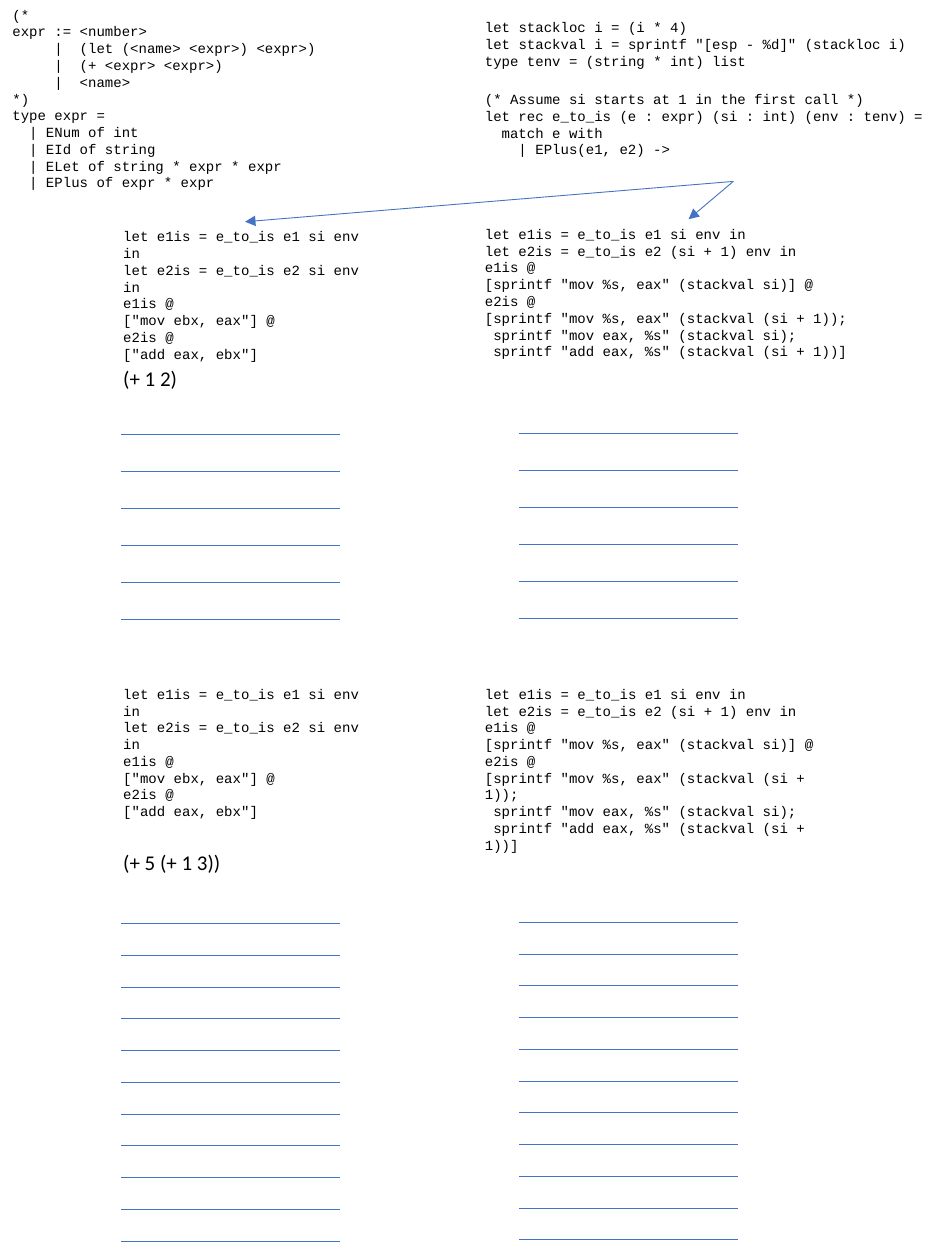
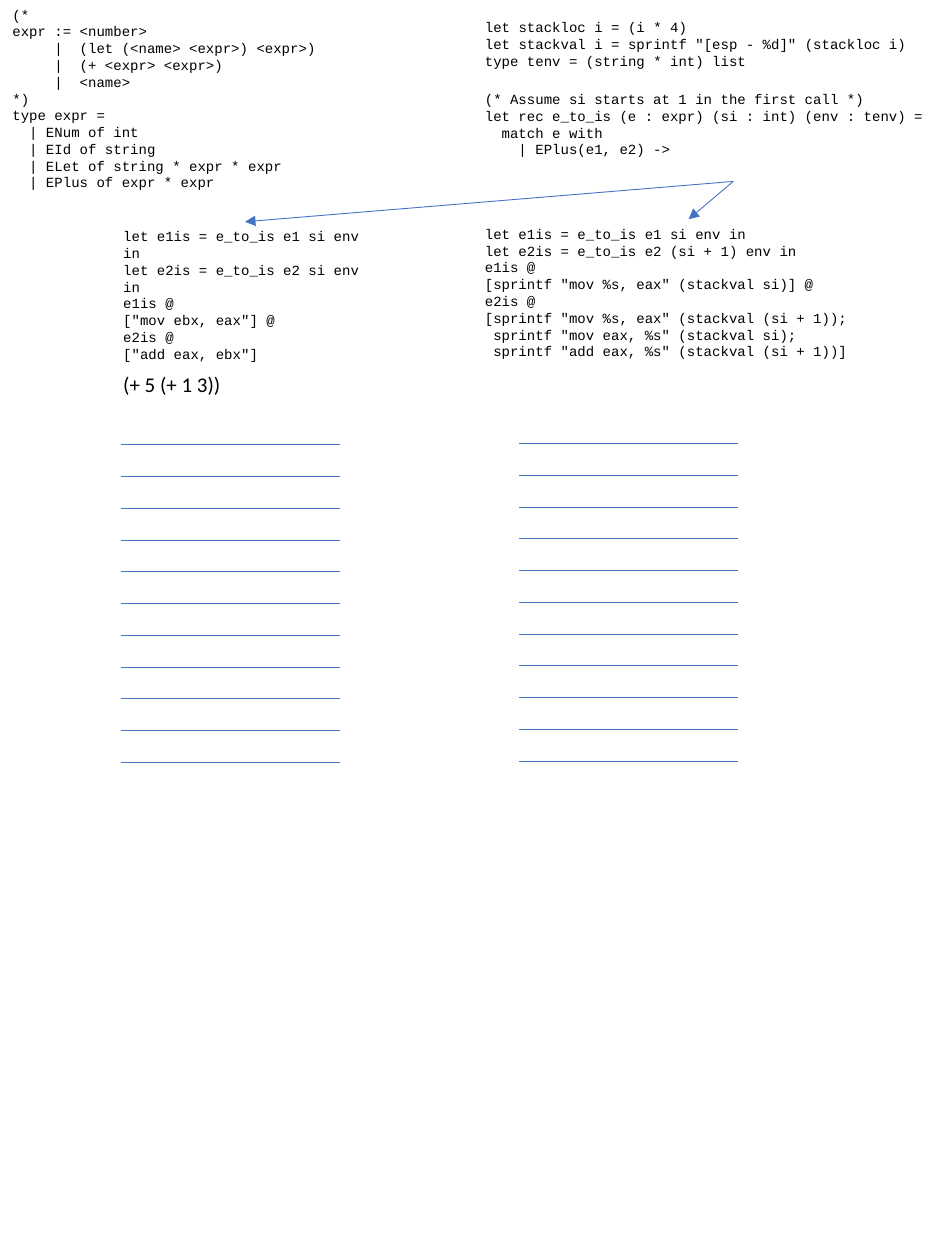
import pptx
import pptx.dml.color
import pptx.enum.shapes
import pptx.enum.text
import pptx.oxml.ns
import pptx.util
from lxml import etree
from pptx.util import Inches

COLORS = {"text": "000000", "rule": "4472C4"}
CODE_FONT, PROMPT_FONT = "Courier New", "Calibri"
LEFT_COLUMN, RIGHT_COLUMN = 0.88, 3.75

GRAMMAR = """(*
expr := <number>
     |  (let (<name> <expr>) <expr>)
     |  (+ <expr> <expr>)
     |  <name>
*)
type expr =
  | ENum of int
  | EId of string
  | ELet of string * expr * expr
  | EPlus of expr * expr"""

HELPERS = """let stackloc i = (i * 4)
let stackval i = sprintf "[esp - %d]" (stackloc i)
type tenv = (string * int) list"""

COMPILER = """(* Assume si starts at 1 in the first call *)
let rec e_to_is (e : expr) (si : int) (env : tenv) =
  match e with
    | EPlus(e1, e2) ->"""

REGISTER_PLUS = """let e1is = e_to_is e1 si env in
let e2is = e_to_is e2 si env in
e1is @
["mov ebx, eax"] @
e2is @
["add eax, ebx"]"""

STACK_PLUS = """let e1is = e_to_is e1 si env in
let e2is = e_to_is e2 (si + 1) env in
e1is @
[sprintf "mov %s, eax" (stackval si)] @
e2is @
[sprintf "mov %s, eax" (stackval (si + 1));
 sprintf "mov eax, %s" (stackval si);
 sprintf "add eax, %s" (stackval (si + 1))]"""


def add_text(slide, box, text, font=CODE_FONT, size=8):
    block = slide.shapes.add_textbox(*map(Inches, box))
    frame = block.text_frame
    frame.word_wrap = True
    frame.auto_size = pptx.enum.text.MSO_AUTO_SIZE.SHAPE_TO_FIT_TEXT
    frame.text = text
    for paragraph in frame.paragraphs:
        paragraph.font.name = font
        paragraph.font.size = pptx.util.Pt(size)
        paragraph.font.color.rgb = pptx.dml.color.RGBColor.from_string(COLORS["text"])
    return block


def add_rule(slide, start=(0, 0), end=(0, 0)):
    rule = slide.shapes.add_connector(
        pptx.enum.shapes.MSO_CONNECTOR.STRAIGHT, *map(Inches, (*start, *end)))
    rule.line.color.rgb = pptx.dml.color.RGBColor.from_string(COLORS["rule"])
    rule.line.width = pptx.util.Pt(0.5)
    etree.SubElement(rule._element.spPr, pptx.oxml.ns.qn("a:effectLst"))
    return rule


def add_arrow(slide, source, target):
    arrow = add_rule(slide)
    arrow.begin_connect(source, 2)
    arrow.end_connect(target, 0)
    etree.SubElement(arrow.line._get_or_add_ln(),
                     pptx.oxml.ns.qn("a:tailEnd"), type="triangle")


def add_definitions(slide, top):
    add_text(slide, (0, top, 3.16, 1.72), GRAMMAR)
    add_text(slide, (RIGHT_COLUMN, top + 0.1, 3.75, 0.5), HELPERS)
    return add_text(slide, (RIGHT_COLUMN, top + 0.67, 4.14, 0.77), COMPILER)


def add_plus_cases(slide, top, stack_width, stack_rise=0):
    register_case = add_text(slide, (LEFT_COLUMN, top, 2.13, 0.91), REGISTER_PLUS)
    stack_case = add_text(
        slide, (RIGHT_COLUMN, top - stack_rise, stack_width, 1.18), STACK_PLUS)
    return register_case, stack_case


def add_exercise(slide, top, expression, first_rule, last_rule, count):
    add_text(slide, (LEFT_COLUMN, top, 1.57, 0.3), expression, PROMPT_FONT, 12)
    gap = (last_rule - first_rule) / (count - 1)
    for left, rise in ((0.96, 0), (4.12, 0.01)):
        for row in range(count):
            y = top + first_rule + row * gap - rise
            add_rule(slide, (left, y), (left + 1.74, y))


def add_worksheet(deck):
    slide = deck.slides.add_slide(deck.slide_layouts[6])
    compiler = add_definitions(slide, 0)
    for case in add_plus_cases(slide, 1.76, 3.43, 0.02):
        add_arrow(slide, compiler, case)
    return slide


def main():
    deck = pptx.Presentation()
    deck.slide_width, deck.slide_height = Inches(7.5), Inches(10)

    both_exercises = add_worksheet(deck)
    add_exercise(both_exercises, 2.85, "(+ 1 2)", 0.6, 2.07, 6)
    add_plus_cases(both_exercises, 5.39, 2.99)
    add_exercise(both_exercises, 6.69, "(+ 5 (+ 1 3))", 0.64, 3.16, 11)

    nested_exercise = add_worksheet(deck)
    add_exercise(nested_exercise, 2.9, "(+ 5 (+ 1 3))", 0.63, 3.15, 11)

    deck.save("out.pptx")


if __name__ == "__main__":
    main()
